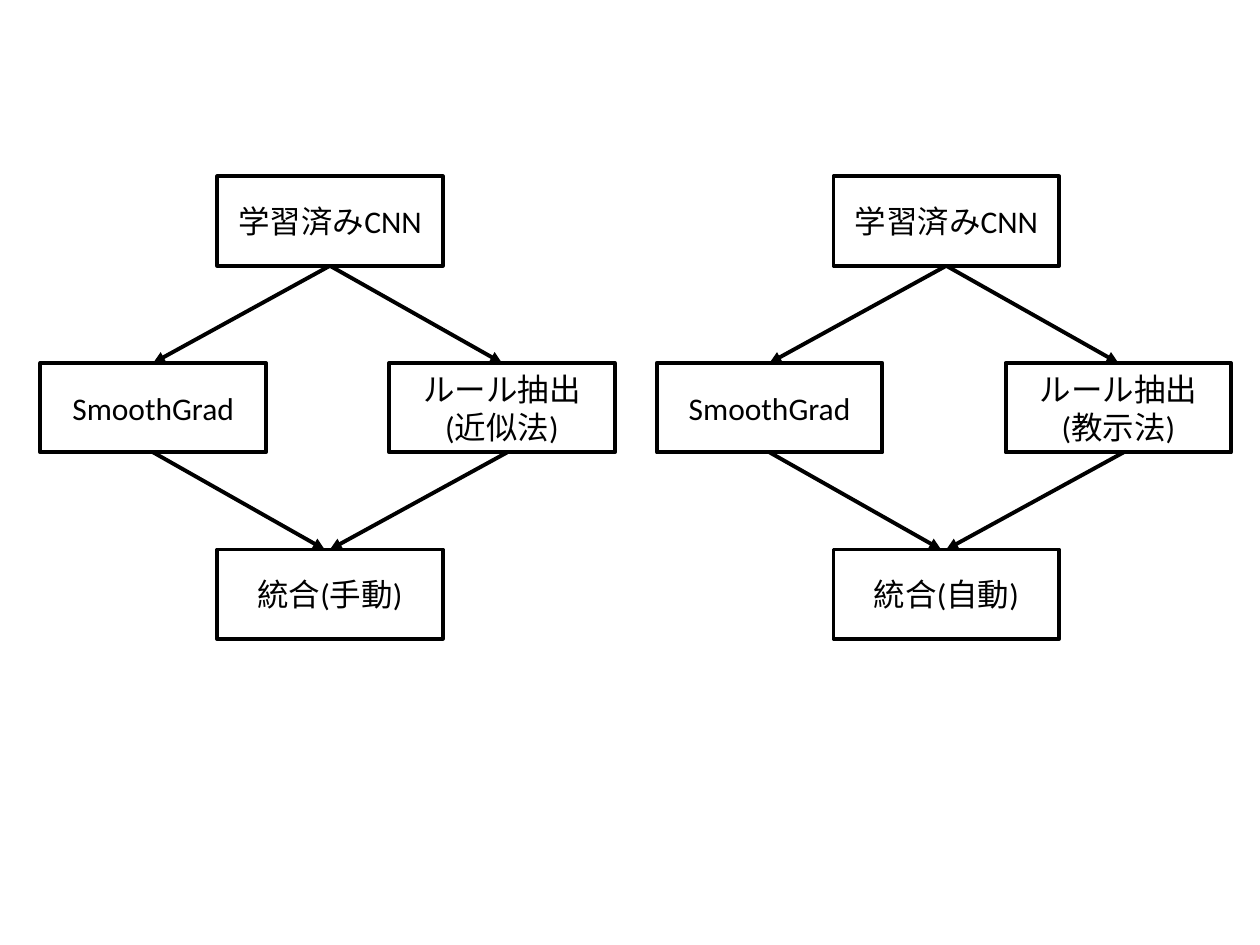
from lxml import etree
from pptx import Presentation
from pptx.dml.color import RGBColor
from pptx.enum import shapes, text
from pptx.oxml import ns
from pptx.util import Pt

BLACK = RGBColor(0, 0, 0)
FONT, SIZE, LINE = "Calibri", 18, 2.25

# Content: left edge of each flow, then its box labels
FLOWS = [
    (23.1, {"model": "学習済みCNN", "grad": "SmoothGrad",
            "rule": "ルール抽出\n(近似法)", "merge": "統合(手動)"}),
    (375.3, {"model": "学習済みCNN", "grad": "SmoothGrad",
             "rule": "ルール抽出\n(教示法)", "merge": "統合(自動)"}),
]
# Box: offset from the flow's left edge, row
SPOTS = {"model": (101, 0), "grad": (0, 1), "rule": (199.3, 1), "merge": (101, 2)}
# Arrow: start box, end box, sideways shift at start and at end
ARROWS = [("model", "grad", 0, 0), ("model", "rule", 0, 0),
          ("rule", "merge", 3, 0), ("grad", "merge", 0, -3)]
WIDE, HIGH = 128.9, 51.1
TOP, PITCH = 100.8, 106.6


def place(left, key):
    shift, row = SPOTS[key]
    return left + shift, TOP + row * PITCH


def add_box(slide, left, key, label):
    x, y = place(left, key)
    box = slide.shapes.add_shape(shapes.MSO_SHAPE.RECTANGLE,
                                 Pt(x), Pt(y), Pt(WIDE), Pt(HIGH))
    box.shadow.inherit = False
    box.fill.background()
    box.line.color.rgb = BLACK
    box.line.width = Pt(LINE)
    frame = box.text_frame
    frame.word_wrap = True
    frame.vertical_anchor = text.MSO_ANCHOR.MIDDLE
    frame.text = label
    for para in frame.paragraphs:
        para.alignment = text.PP_ALIGN.CENTER
        for run in para.runs:
            run.font.name = FONT
            run.font.size = Pt(SIZE)
            run.font.color.rgb = BLACK


def add_arrow(slide, left, start, end, dx1, dx2):
    x1, y1 = place(left, start)
    x2, y2 = place(left, end)
    line = slide.shapes.add_connector(
        shapes.MSO_CONNECTOR.STRAIGHT,
        Pt(x1 + WIDE / 2 + dx1), Pt(y1 + HIGH), Pt(x2 + WIDE / 2 + dx2), Pt(y2))
    line.line.color.rgb = BLACK
    line.line.width = Pt(LINE)
    # Arrowhead, and no shadow
    etree.SubElement(line.line._get_or_add_ln(), ns.qn("a:tailEnd"), type="triangle")
    etree.SubElement(line._element.spPr, ns.qn("a:effectLst"))


def main():
    deck = Presentation()
    deck.slide_width, deck.slide_height = Pt(720), Pt(540)
    slide = deck.slides.add_slide(deck.slide_layouts[6])
    for left, labels in FLOWS:
        for key, label in labels.items():
            add_box(slide, left, key, label)
        for arrow in ARROWS:
            add_arrow(slide, left, *arrow)
    deck.save("out.pptx")


if __name__ == "__main__":
    main()
